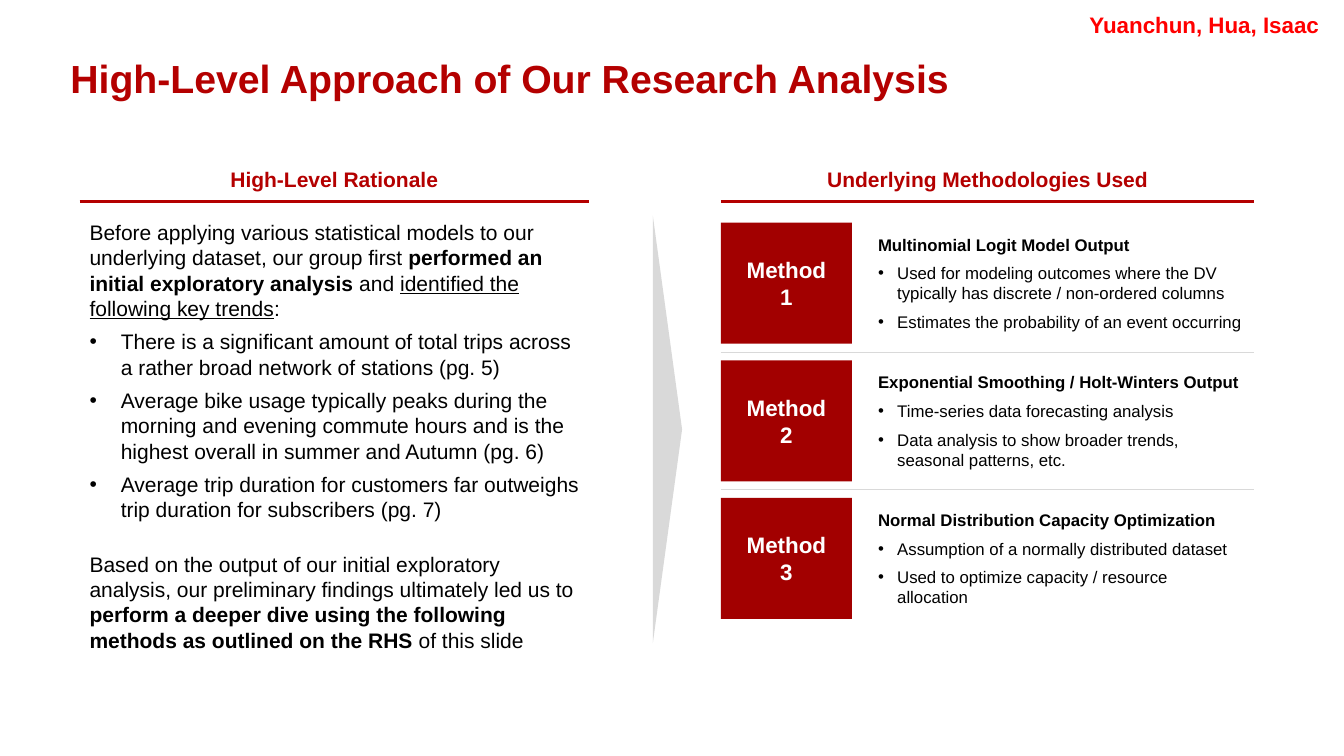
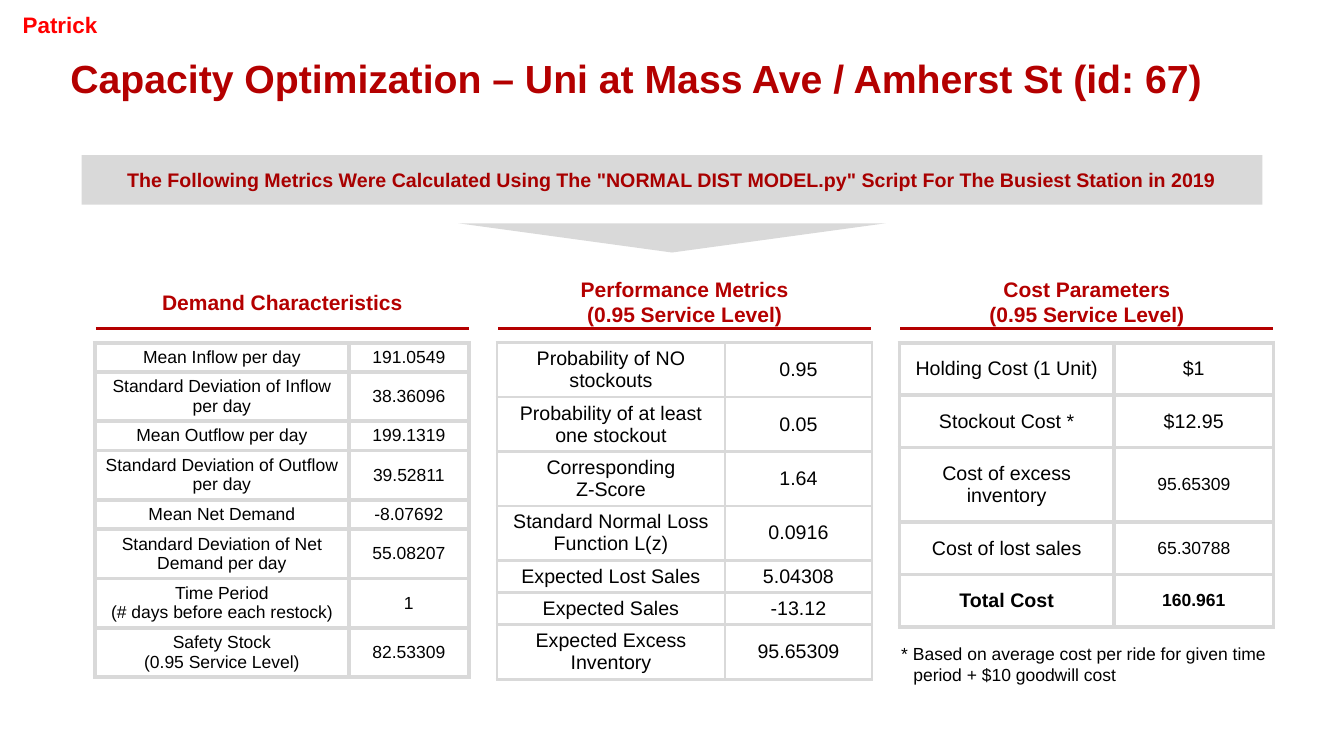
from lxml import etree
from pptx import Presentation
from pptx.dml.color import RGBColor
from pptx.enum.shapes import MSO_CONNECTOR, MSO_SHAPE
from pptx.enum.text import MSO_ANCHOR, PP_ALIGN
from pptx.oxml.ns import qn
from pptx.util import Inches, Pt

LEFT, CENTER = PP_ALIGN.LEFT, PP_ALIGN.CENTER
TOP, MIDDLE = MSO_ANCHOR.TOP, MSO_ANCHOR.MIDDLE
RECTANGLE, TRIANGLE = MSO_SHAPE.RECTANGLE, MSO_SHAPE.ISOSCELES_TRIANGLE
STRAIGHT = MSO_CONNECTOR.STRAIGHT

FONT = "Arial"
RED = RGBColor(0xB4, 0x00, 0x00)
BANNER_RED = RGBColor(0xA8, 0x00, 0x00)
METHOD_RED = RGBColor(0xA2, 0x00, 0x00)
TAG_RED = RGBColor(0xFF, 0x00, 0x00)
GREY = RGBColor(0xD9, 0xD9, 0xD9)
BLACK = RGBColor(0x00, 0x00, 0x00)
WHITE = RGBColor(0xFF, 0xFF, 0xFF)

# Grid, in inches
SLIDE_W, SLIDE_H = 13.33, 7.5
RATIONALE_X, RATIONALE_W = 0.79, 5.05
METHODS_X, METHODS_W = 7.15, 5.29
METHOD_TOP, METHOD_SIDE, METHOD_H, METHOD_PITCH = 2.21, 1.3, 1.2, 1.365
METRICS_X, METRICS_W, METRICS_PITCH = 0.95, 3.7, 3.99
HEADING_H = 0.51


def write(frame, paragraphs, size, color=BLACK, bold=False, align=LEFT, anchor=TOP,
          after=0, bullet_indent=0):
    """Fill a frame; a paragraph is a string, or a list of (text, style) runs.
    A leading bullet sign turns into a real bullet."""
    frame.word_wrap = True
    frame.vertical_anchor = anchor
    for number, content in enumerate(paragraphs):
        paragraph = frame.paragraphs[0] if number == 0 else frame.add_paragraph()
        paragraph.alignment = align
        paragraph.space_after = Pt(after)
        runs = [(content, "b" if bold else "")] if isinstance(content, str) else content
        if runs[0][0].startswith("•"):
            runs = [(runs[0][0][1:], "")]
            properties = paragraph._p.get_or_add_pPr()
            properties.set("marL", str(Inches(bullet_indent)))
            properties.set("indent", str(-Inches(bullet_indent)))
            etree.SubElement(properties, qn("a:buFont")).set("typeface", FONT)
            etree.SubElement(properties, qn("a:buChar")).set("char", "•")
        for text, style in runs:
            run = paragraph.add_run()
            run.text = text
            run.font.name, run.font.size = FONT, Pt(size)
            run.font.color.rgb = color
            run.font.bold = "b" in style
            run.font.underline = "u" in style


def add_rule(slide, x, y, width, color, weight):
    rule = slide.shapes.add_connector(
        STRAIGHT, Inches(x), Inches(y), Inches(x + width), Inches(y))
    rule.line.color.rgb = color
    rule.line.width = Pt(weight)
    etree.SubElement(rule._element.spPr, qn("a:effectLst"))


prs = Presentation()
prs.slide_width, prs.slide_height = Inches(SLIDE_W), Inches(SLIDE_H)

# Parts both slides share: title, author tag, underlined headings, grey pointer
metric_headings = ["Demand Characteristics",
                   "Performance Metrics\n(0.95 Service Level)",
                   "Cost Parameters\n(0.95 Service Level)"]
outlines = [
    {"title": "High-Level Approach of Our Research Analysis",
     "tag": ("Yuanchun, Hua, Isaac", 10.56, 2.77),
     "heading_top": 1.52, "rule_y": 2,
     "headings": [("High-Level Rationale", RATIONALE_X, RATIONALE_W),
                  ("Underlying Methodologies Used", METHODS_X, METHODS_W)],
     "pointer": (6.62, 4.26, 90)},
    {"title": "Capacity Optimization – Uni at Mass Ave / Amherst St (id: 67)",
     "tag": ("Patrick", 0, 1.19),
     "heading_top": 2.74, "rule_y": 3.26,
     "headings": [(heading, METRICS_X + column * METRICS_PITCH, METRICS_W)
                  for column, heading in enumerate(metric_headings)],
     "pointer": (SLIDE_W / 2, 2.36, 180)},
]
slides = []
for outline in outlines:
    slide = prs.slides.add_slide(prs.slide_layouts[6])
    slides.append(slide)
    title = slide.shapes.add_textbox(Inches(0.6), Inches(0.4), Inches(11.83), Inches(0.81))
    write(title.text_frame, [outline["title"]], 28, RED, True, anchor=MIDDLE)
    title.text_frame.paragraphs[0].line_spacing = 0.9

    author, x, width = outline["tag"]
    tag = slide.shapes.add_textbox(Inches(x), Inches(0.06), Inches(width), Inches(0.42))
    write(tag.text_frame, [author], 16, TAG_RED, True, CENTER)

    for text, x, width in outline["headings"]:
        heading = slide.shapes.add_textbox(
            Inches(x), Inches(outline["heading_top"]), Inches(width), Inches(HEADING_H))
        write(heading.text_frame, text.split("\n"), 15, RED, True, CENTER, MIDDLE)
        heading.text_frame.margin_top = heading.text_frame.margin_bottom = 0
        add_rule(slide, x, outline["rule_y"], width, RED, 2.25)

    x, y, angle = outline["pointer"]
    pointer = slide.shapes.add_shape(
        TRIANGLE, Inches(x - 2.12), Inches(y - 0.145), Inches(4.24), Inches(0.29))
    pointer.rotation = angle
    pointer.shadow.inherit = False
    pointer.fill.solid()
    pointer.fill.fore_color.rgb = GREY
    pointer.line.fill.background()

approach, capacity = slides

# Approach: rationale on the left
rationale = approach.shapes.add_textbox(
    Inches(RATIONALE_X), Inches(2.13), Inches(5.1), Inches(4.66))
write(rationale.text_frame, [
    [("Before applying various statistical models to our underlying dataset, "
      "our group first ", ""),
     ("performed an initial exploratory analysis", "b"), (" and ", ""),
     ("identified the following key trends", "u"), (":", "")],
    "•There is a significant amount of total trips across a rather broad network "
    "of stations (pg. 5)",
    "•Average bike usage typically peaks during the morning and evening commute hours "
    "and is the highest overall in summer and Autumn (pg. 6)",
    "•Average trip duration for customers far outweighs trip duration for "
    "subscribers (pg. 7)",
    [("Based on the output of our initial exploratory analysis, our preliminary findings "
      "ultimately led us to ", ""),
     ("perform a deeper dive using the following methods as outlined on the RHS", "b"),
     (" of this slide", "")],
], 15, after=6, bullet_indent=0.31)
rationale.text_frame.paragraphs[-1].space_before = Pt(15)

# Approach: three methods on the right
methods = [
    ("Multinomial Logit Model Output",
     "•Used for modeling outcomes where the DV typically has discrete / non-ordered columns",
     "•Estimates the probability of an event occurring"),
    ("Exponential Smoothing / Holt-Winters Output",
     "•Time-series data forecasting analysis",
     "•Data analysis to show broader trends, seasonal patterns, etc."),
    ("Normal Distribution Capacity Optimization",
     "•Assumption of a normally distributed dataset",
     "•Used to optimize capacity / resource allocation"),
]
for row, (name, *uses) in enumerate(methods):
    top = METHOD_TOP + row * METHOD_PITCH
    badge = approach.shapes.add_shape(
        RECTANGLE, Inches(METHODS_X), Inches(top), Inches(METHOD_SIDE), Inches(METHOD_H))
    badge.shadow.inherit = False
    badge.fill.solid()
    badge.fill.fore_color.rgb = METHOD_RED
    badge.line.fill.background()
    write(badge.text_frame, ["Method", str(row + 1)], 16, WHITE, True, CENTER, MIDDLE)
    details = approach.shapes.add_textbox(
        Inches(8.61), Inches(top), Inches(3.82), Inches(METHOD_H))
    write(details.text_frame, [[(name, "b")], *uses], 12, anchor=MIDDLE,
          after=6, bullet_indent=0.19)
    if row:
        add_rule(approach, METHODS_X, top - (METHOD_PITCH - METHOD_H) / 2,
                 METHODS_W, GREY, 0.5)

# Capacity: banner
banner = capacity.shapes.add_shape(
    RECTANGLE, Inches(0.81), Inches(1.54), Inches(11.71), Inches(0.49))
banner.shadow.inherit = False
banner.fill.solid()
banner.fill.fore_color.rgb = GREY
banner.line.fill.background()
write(banner.text_frame,
      ['The Following Metrics Were Calculated Using The "NORMAL DIST MODEL.py" Script '
       "For The Busiest Station in 2019"], 14, BANNER_RED, True, CENTER, MIDDLE)

# Capacity: one table under each heading; rows are label, value, height
demand = [
    ("Mean Inflow per day", "191.0549", 0.29),
    ("Standard Deviation of Inflow per day", "38.36096", 0.49),
    ("Mean Outflow per day", "199.1319", 0.29),
    ("Standard Deviation of Outflow per day", "39.52811", 0.49),
    ("Mean Net Demand", "-8.07692", 0.29),
    ("Standard Deviation of Net Demand per day", "55.08207", 0.49),
    ("Time Period\n(# days before each restock)", "1", 0.49),
    ("Safety Stock\n(0.95 Service Level)", "82.53309", 0.49),
]
performance = [
    ("Probability of NO stockouts", "0.95", 0.54),
    ("Probability of at least one stockout", "0.05", 0.54),
    ("Corresponding\nZ-Score", "1.64", 0.54),
    ("Standard Normal Loss Function L(z)", "0.0916", 0.54),
    ("Expected Lost Sales", "5.04308", 0.32),
    ("Expected Sales", "-13.12", 0.32),
    ("Expected Excess Inventory", "95.65309", 0.54),
]
costs = [
    ("Holding Cost (1 Unit)", "$1", 0.52),
    ("Stockout Cost *", "$12.95", 0.52),
    ("Cost of excess inventory", "95.65309", 0.74),
    ("Cost of lost sales", "65.30788", 0.52),
    ("Total Cost", "160.961", 0.52),
]
# Rows, column widths, text size, border weight, side margin
tables = [(demand, (2.52, 1.19), 12.5, 3, 0.1),
          (performance, (2.26, 1.46), 14, 2.25, 0.1),
          (costs, (2.13, 1.58), 14, 3, 0.15)]
for column, (rows, widths, size, weight, margin) in enumerate(tables):
    metrics = capacity.shapes.add_table(
        len(rows), 2, Inches(METRICS_X - 0.01 + column * METRICS_PITCH), Inches(3.4),
        Inches(sum(widths)), Inches(sum(height for *_, height in rows))).table
    metrics.first_row = metrics.horz_banding = False
    for index, width in enumerate(widths):
        metrics.columns[index].width = Inches(width)
    for row, (*texts, height) in enumerate(rows):
        metrics.rows[row].height = Inches(height)
        for index, text in enumerate(texts):
            cell = metrics.cell(row, index)
            cell.margin_left = cell.margin_right = Inches(margin)
            cell.margin_top = cell.margin_bottom = Inches(0.03)
            small = rows is costs and index == 1 and row >= 2
            write(cell.text_frame, text.split("\n"), 12.5 if small else size,
                  bold=rows is costs and row == len(rows) - 1, align=CENTER)
            cell.vertical_anchor = MIDDLE
            cell.fill.background()
            properties = cell._tc.get_or_add_tcPr()
            for place, side in enumerate(("a:lnL", "a:lnR", "a:lnT", "a:lnB")):
                border = etree.Element(qn(side), w=str(Pt(weight)))
                fill = etree.SubElement(border, qn("a:solidFill"))
                etree.SubElement(fill, qn("a:srgbClr")).set("val", str(GREY))
                properties.insert(place, border)

# Capacity: footnote with a hanging indent after the asterisk
footnote = capacity.shapes.add_textbox(
    Inches(8.84), Inches(6.33), Inches(3.98), Inches(0.53))
write(footnote.text_frame,
      ["* Based on average cost per ride for given time period + $10 goodwill cost"], 12.5)
hanging = footnote.text_frame.paragraphs[0]._p.get_or_add_pPr()
hanging.set("marL", str(Inches(0.12)))
hanging.set("indent", str(-Inches(0.12)))

prs.save("out.pptx")
